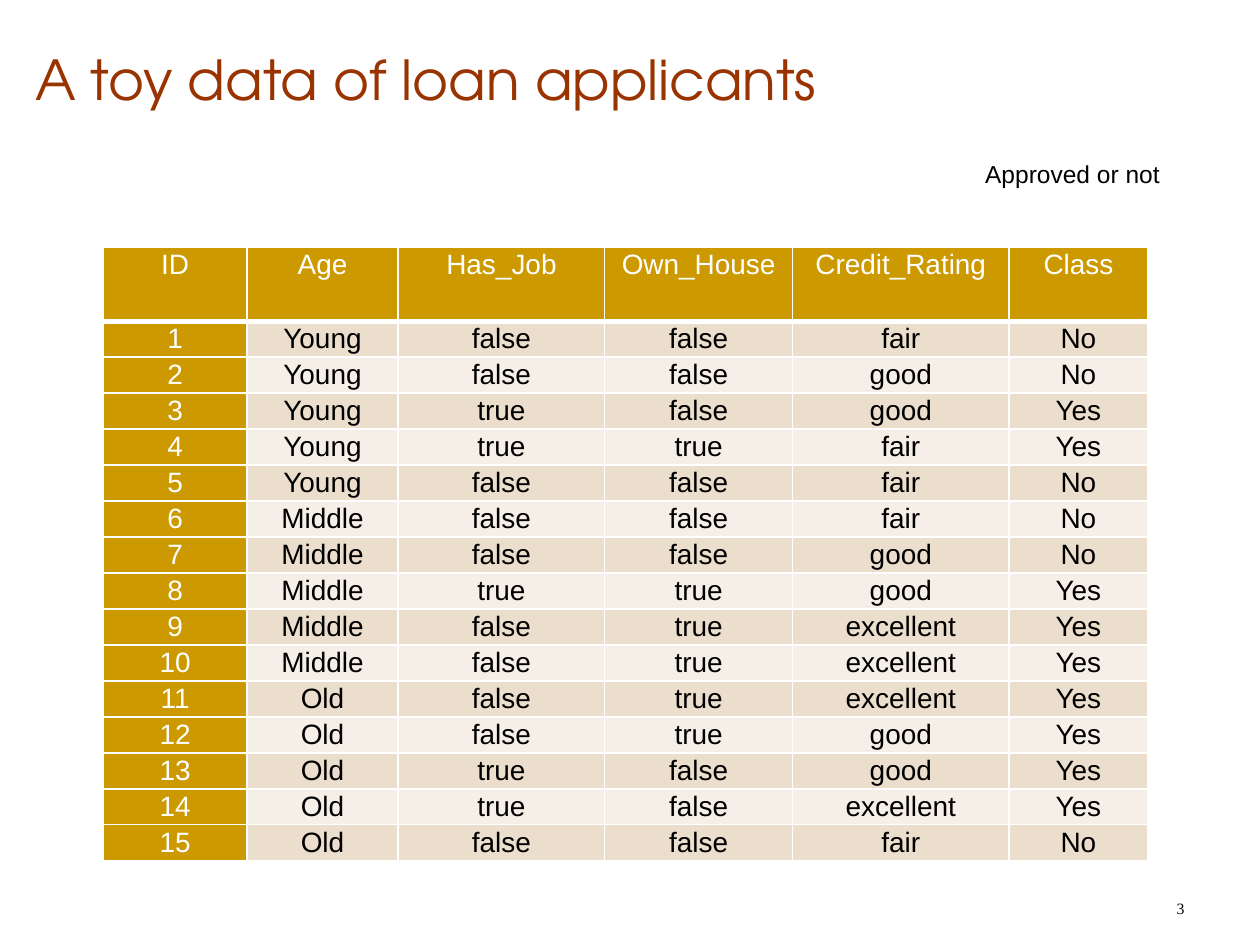
from lxml.etree import SubElement
from pptx import Presentation
from pptx.dml.color import RGBColor
from pptx.enum.text import MSO_ANCHOR, PP_ALIGN
from pptx.oxml.ns import qn
from pptx.util import Inches, Pt

COLORS = {
    "title": "993300",
    "head": "CC9900",
    "odd": "ECDECC",
    "even": "F6EFE7",
    "text": "000000",
    "white": "FFFFFF",
}
HEADS = ["ID", "Age", "Has_Job", "Own_House", "Credit_Rating", "Class"]
LOANS = [
    ("Young", "false", "false", "fair", "No"),
    ("Young", "false", "false", "good", "No"),
    ("Young", "true", "false", "good", "Yes"),
    ("Young", "true", "true", "fair", "Yes"),
    ("Young", "false", "false", "fair", "No"),
    ("Middle", "false", "false", "fair", "No"),
    ("Middle", "false", "false", "good", "No"),
    ("Middle", "true", "true", "good", "Yes"),
    ("Middle", "false", "true", "excellent", "Yes"),
    ("Middle", "false", "true", "excellent", "Yes"),
    ("Old", "false", "true", "excellent", "Yes"),
    ("Old", "false", "true", "good", "Yes"),
    ("Old", "true", "false", "good", "Yes"),
    ("Old", "true", "false", "excellent", "Yes"),
    ("Old", "false", "false", "fair", "No"),
]
WIDTHS = [1.14, 1.2, 1.64, 1.49, 1.72, 1.1]


def write(frame, text, font="Arial", size=14, color="text",
          align=PP_ALIGN.LEFT, spacing=None):
    """Fill the first paragraph of a text frame."""
    para = frame.paragraphs[0]
    para.alignment = align
    if spacing:
        para.line_spacing = spacing
    run = para.add_run()
    run.text = text
    run.font.name = font
    run.font.size = Pt(size)
    run.font.color.rgb = RGBColor.from_string(COLORS[color])


class Deck:
    def __init__(self):
        self.show = Presentation()
        self.show.slide_width = Inches(10)
        self.show.slide_height = Inches(7.5)
        self.slide = self.show.slides.add_slide(self.show.slide_layouts[6])

    def text(self, text, left, top, width, height,
             anchor=MSO_ANCHOR.TOP, **style):
        box = self.slide.shapes.add_textbox(
            Inches(left), Inches(top), Inches(width), Inches(height))
        frame = box.text_frame
        frame.word_wrap = True
        frame.vertical_anchor = anchor
        write(frame, text, **style)

    def border(self, cell, bottom):
        """Draw white edges; call before the cell gets its fill."""
        props = cell._tc.get_or_add_tcPr()
        for side, width in zip("LRTB", (1, 1, 1, bottom)):
            line = SubElement(props, qn(f"a:ln{side}"), w=str(Pt(width)))
            fill = SubElement(line, qn("a:solidFill"))
            SubElement(fill, qn("a:srgbClr"), val=COLORS["white"])

    def cell(self, cell, text, fill, color, bottom):
        self.border(cell, bottom)
        cell.fill.solid()
        cell.fill.fore_color.rgb = RGBColor.from_string(COLORS[fill])
        cell.margin_left = cell.margin_right = Inches(0.06)
        cell.margin_top = cell.margin_bottom = 0
        write(cell.text_frame, text, size=16, color=color,
              align=PP_ALIGN.CENTER, spacing=1.07)

    def table(self, rows, left, top, widths, height, first):
        grid = self.slide.shapes.add_table(
            len(rows), len(widths), Inches(left), Inches(top),
            Inches(sum(widths)), Inches(height)).table
        for col, width in zip(grid.columns, widths):
            col.width = Inches(width)
        rest = (height - first) / (len(rows) - 1)
        for r, row in enumerate(rows):
            grid.rows[r].height = Inches(rest if r else first)
            for c, text in enumerate(row):
                head = r == 0 or c == 0
                band = "odd" if r % 2 else "even"
                self.cell(grid.cell(r, c), text,
                          fill="head" if head else band,
                          color="white" if head else "text",
                          bottom=1 if r else 3)


def main():
    deck = Deck()
    # Page number
    deck.text("3", 7.17, 6.83, 2.33, 0.5, anchor=MSO_ANCHOR.BOTTOM,
              font="Times New Roman", size=9, align=PP_ALIGN.RIGHT)
    # Title and note above the class column
    deck.text("A toy data of loan applicants", 0.18, 0.31, 6.74, 0.71,
              font="TeX Gyre Adventor", size=31.5, color="title")
    deck.text("Approved or not", 7.72, 1.21, 1.88, 0.34)
    # Loan table, with numbered rows
    rows = [HEADS] + [(str(n), *loan) for n, loan in enumerate(LOANS, 1)]
    deck.table(rows, 0.82, 1.96, WIDTHS, 4.86, first=0.59)
    deck.show.save("out.pptx")


if __name__ == "__main__":
    main()
